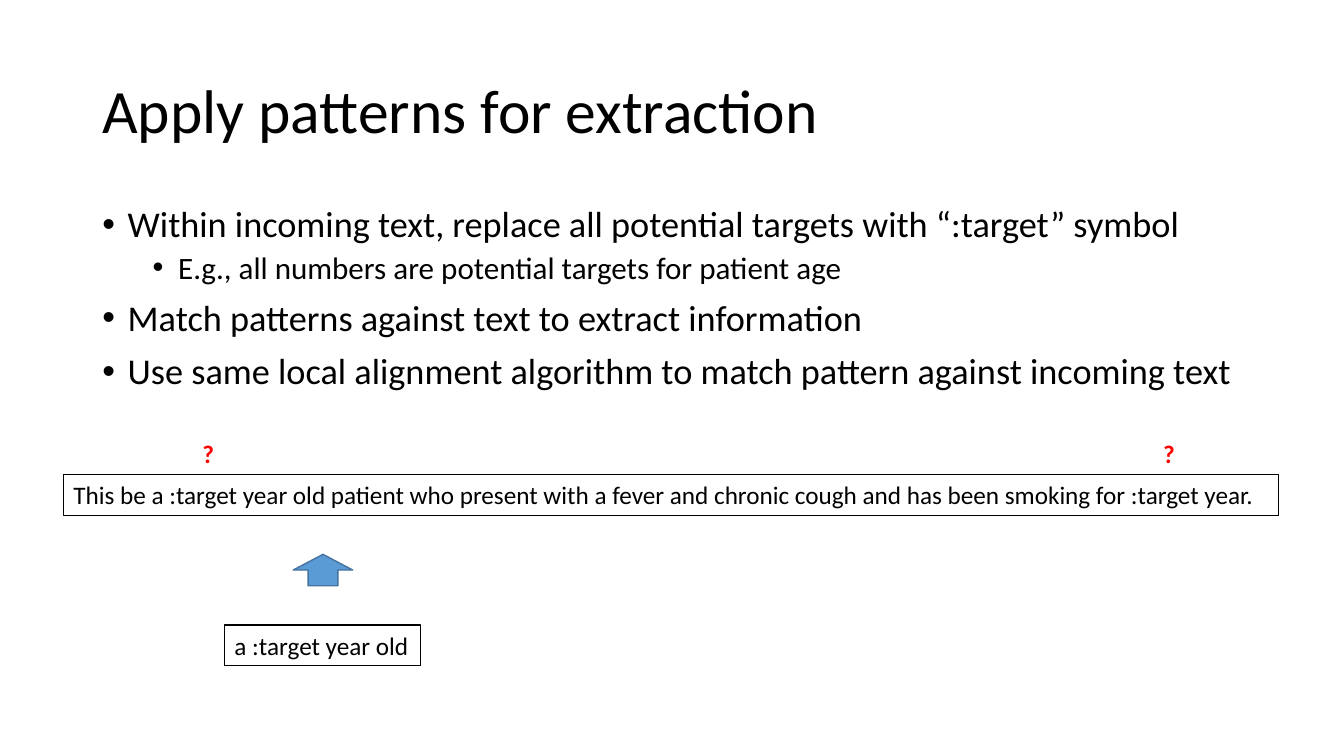
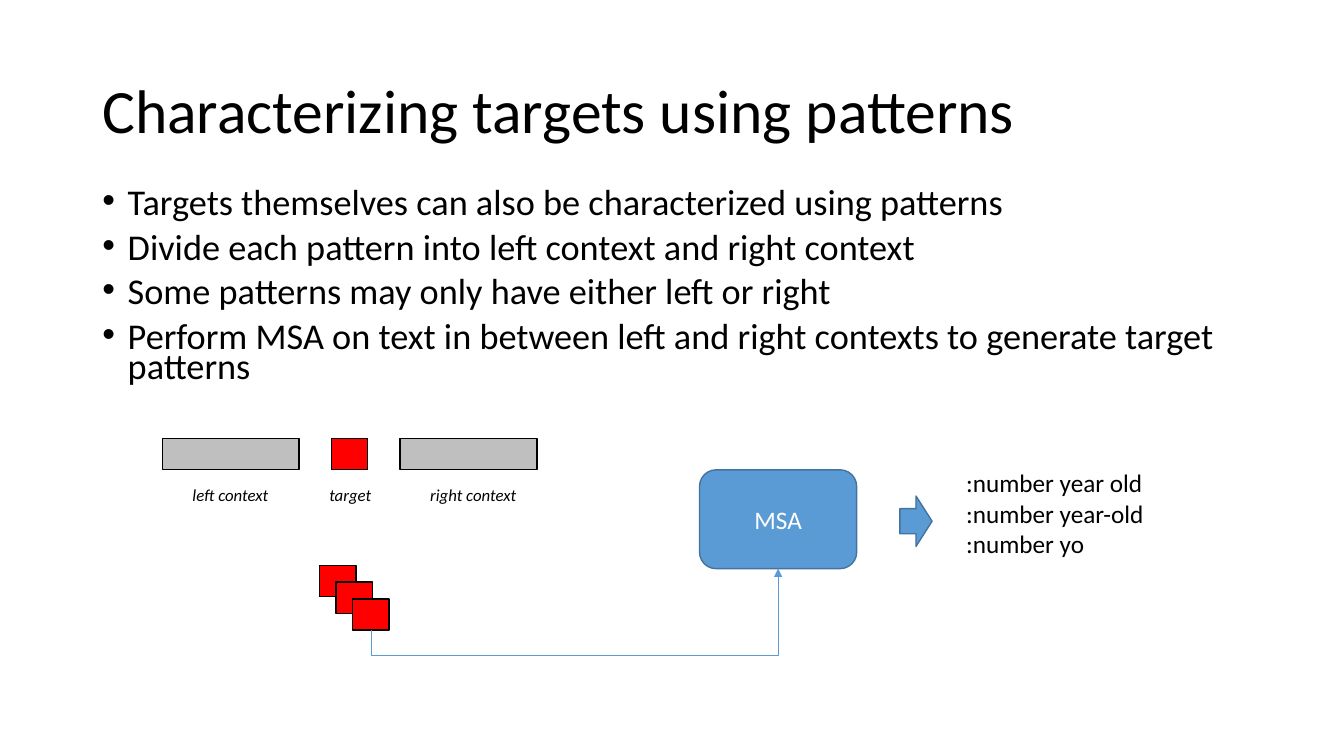
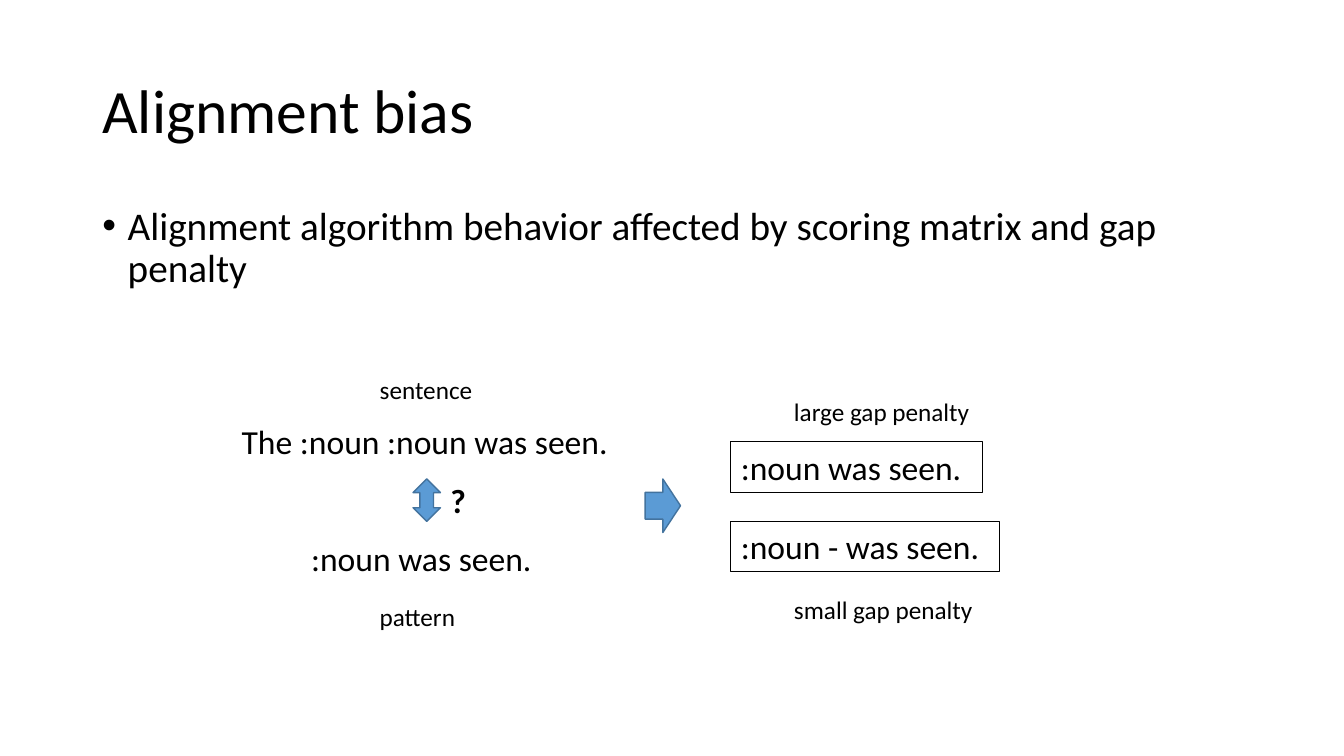
"""Build three slides on pattern extraction and alignment."""
from dataclasses import dataclass

from lxml.etree import SubElement
from pptx import Presentation
from pptx.dml.color import RGBColor as RGB
from pptx.enum.shapes import MSO_CONNECTOR as CXN, MSO_SHAPE as SHAPE
from pptx.enum.text import MSO_ANCHOR as ANCHOR, MSO_AUTO_SIZE as FIT, PP_ALIGN as ALIGN
from pptx.oxml.ns import qn
from pptx.shapes.autoshape import Shape
from pptx.shapes.connector import Connector
from pptx.slide import Slide
from pptx.util import Cm, Pt


@dataclass(frozen=True)
class Theme:
    font: str = "Calibri"
    black: RGB = RGB(0, 0, 0)
    white: RGB = RGB(255, 255, 255)
    red: RGB = RGB(255, 0, 0)
    gray: RGB = RGB(0xBF, 0xBF, 0xBF)
    blue: RGB = RGB(0x5B, 0x9B, 0xD5)
    blue_edge: RGB = RGB(0x43, 0x73, 0x9E)
    title: float = 44
    body: float = 28
    body_fit: float = 25.9
    sub_fit: float = 22.2
    example: float = 24
    label: float = 18
    caption: float = 12


T = Theme()
LINE_HEIGHT = {T.caption: 0.77, T.label: 1.03, T.example: 1.28}
LEFT, WIDTH = 2.33, 29.21


@dataclass(frozen=True)
class Bullet:
    text: str
    size: float
    level: int = 0


@dataclass(frozen=True)
class Label:
    text: str
    x: float
    y: float
    w: float
    size: float = T.label
    color: RGB = T.black
    bold: bool = False
    italic: bool = False
    boxed: bool = False


@dataclass(frozen=True)
class Block:
    kind: SHAPE
    x: float
    y: float
    w: float
    h: float
    fill: RGB = T.blue
    edge: RGB = T.blue_edge


@dataclass(frozen=True)
class Segment:
    caption: str
    caption_x: float
    caption_w: float
    w: float
    fill: RGB


def add_run(p, text: str, size: float, color: RGB = T.black,
            bold: bool = False, italic: bool = False) -> None:
    r = p.add_run()
    r.text = text
    f = r.font
    f.name, f.size, f.bold, f.italic = T.font, Pt(size), bold, italic
    f.color.rgb = color


def add_label(s: Slide, label: Label) -> None:
    lines = label.text.split("\n")
    height = LINE_HEIGHT[label.size] + (len(lines) - 1) * 0.77
    sp = s.shapes.add_textbox(Cm(label.x), Cm(label.y), Cm(label.w), Cm(height))
    tf = sp.text_frame
    tf.word_wrap, tf.auto_size = False, FIT.SHAPE_TO_FIT_TEXT
    for i, line in enumerate(lines):
        p = tf.add_paragraph() if i else tf.paragraphs[0]
        add_run(p, line, label.size, label.color, label.bold, label.italic)
    if label.boxed:
        sp.line.color.rgb, sp.line.width = T.black, Pt(0.75)


def add_block(s: Slide, block: Block) -> Shape:
    sp = s.shapes.add_shape(block.kind, Cm(block.x), Cm(block.y), Cm(block.w), Cm(block.h))
    sp.shadow.inherit = False
    sp.fill.solid()
    sp.fill.fore_color.rgb = block.fill
    sp.line.color.rgb, sp.line.width = block.edge, Pt(1)
    return sp


def add_body(s: Slide, bullets: list[Bullet], y: float, h: float, spacing: float) -> None:
    tf = s.shapes.add_textbox(Cm(LEFT), Cm(y), Cm(WIDTH), Cm(h)).text_frame
    tf.word_wrap = True
    for i, b in enumerate(bullets):
        p = tf.add_paragraph() if i else tf.paragraphs[0]
        p.level, p.line_spacing = b.level, spacing
        p.space_before = Pt(5 if b.level else 10)
        add_run(p, b.text, b.size)
        pPr = p._p.get_or_add_pPr()
        pPr.set("marL", str(Cm(0.64 + 1.27 * b.level)))
        pPr.set("indent", str(-Cm(0.64)))
        SubElement(pPr, qn("a:buFont"), typeface="Arial")
        SubElement(pPr, qn("a:buChar"), char="•")


def add_slide(prs, title: str) -> Slide:
    s = prs.slides.add_slide(prs.slide_layouts[6])
    tf = s.shapes.add_textbox(Cm(LEFT), Cm(1.01), Cm(WIDTH), Cm(3.68)).text_frame
    tf.word_wrap, tf.vertical_anchor = True, ANCHOR.MIDDLE
    p = tf.paragraphs[0]
    p.line_spacing = 0.9
    add_run(p, title, T.title)
    return s


def add_under_arrow(s: Slide, start: Shape, end: Shape, drop: int) -> Connector:
    x1, y1 = start.left + start.width // 2, start.top + start.height
    x2, y2 = end.left + end.width // 2, end.top + end.height
    cxn = s.shapes.add_connector(CXN.ELBOW, x1, y1, x2, y2)
    cxn.begin_connect(start, 2)
    cxn.end_connect(end, 2)
    w, h = y1 - y2, x2 - x1
    cxn.left, cxn.top = (x1 + x2 - w) // 2, (y1 + y2 - h) // 2
    cxn.width, cxn.height = w, h
    spPr = cxn.element.spPr
    xfrm = spPr.find(qn("a:xfrm"))
    for key, value in (("rot", "5400000"), ("flipH", "1"), ("flipV", "1")):
        xfrm.set(key, value)
    adjust = spPr.find(qn("a:prstGeom")).get_or_add_avLst()
    SubElement(adjust, qn("a:gd"), name="adj1", fmla=f"val {-round(100000 * drop / w)}")
    cxn.line.color.rgb, cxn.line.width = T.blue, Pt(0.5)
    SubElement(cxn.line._get_or_add_ln(), qn("a:tailEnd"), type="triangle")
    SubElement(spPr, qn("a:effectLst"))
    return cxn


def build_extraction(prs) -> None:
    s = add_slide(prs, "Apply patterns for extraction")
    add_body(s, [
        Bullet("Within incoming text, replace all potential targets with “:target” symbol", T.body_fit),
        Bullet("E.g., all numbers are potential targets for patient age", T.sub_fit, 1),
        Bullet("Match patterns against text to extract information", T.body_fit),
        Bullet("Use same local alignment algorithm to match pattern against incoming text", T.body_fit),
    ], 5.07, 5.41, 0.9)
    sentence = ("This be a :target year old patient who present with a fever and "
                "chronic cough and has been smoking for :target year.")
    add_label(s, Label(sentence, 1.6, 11.96, 30.63, boxed=True))
    add_label(s, Label("a :target year old", 5.66, 15.75, 4.95, boxed=True))
    for x in (4.85, 29.06):
        add_label(s, Label("?", x, 10.92, 0.81, color=T.red, bold=True))
    add_block(s, Block(SHAPE.UP_ARROW, 7.39, 13.97, 1.5, 0.79))


def build_targets(prs) -> None:
    s = add_slide(prs, "Characterizing targets using patterns")
    add_body(s, [Bullet(text, T.body_fit) for text in (
        "Targets themselves can also be characterized using patterns",
        "Divide each pattern into left context and right context",
        "Some patterns may only have either left or right",
        "Perform MSA on text in between left and right contexts to generate target patterns",
    )], 4.7, 5.66, 0.7)

    bar_h, target_w, gap, x = 0.79, 0.92, 0.81, 4.09
    for seg in (
        Segment("left context", 4.6, 2.46, 3.45, T.gray),
        Segment("target", 8.05, 1.57, target_w, T.red),
        Segment("right context", 10.59, 2.69, 3.45, T.gray),
    ):
        add_block(s, Block(SHAPE.RECTANGLE, x, 11.05, seg.w, bar_h, seg.fill, T.black))
        add_label(s, Label(seg.caption, seg.caption_x, 12.09, seg.caption_w,
                           T.caption, italic=True))
        x += seg.w + gap

    msa = add_block(s, Block(SHAPE.ROUNDED_RECTANGLE, 17.63, 11.84, 3.96, 2.49))
    msa.text_frame.vertical_anchor = ANCHOR.MIDDLE
    p = msa.text_frame.paragraphs[0]
    p.alignment = ALIGN.CENTER
    add_run(p, "MSA", T.label, T.white)

    stack = [add_block(s, Block(SHAPE.RECTANGLE, 8.05 + 0.42 * i, 14.25 + 0.42 * i,
                                target_w, bar_h, T.red, T.black)) for i in range(3)]
    add_under_arrow(s, stack[-1], msa, Cm(0.63))
    add_label(s, Label(":number year old\n:number year-old\n:number yo", 24.1, 11.66, 5.03))
    add_block(s, Block(SHAPE.RIGHT_ARROW, 22.68, 12.5, 0.81, 1.27))


def build_bias(prs) -> None:
    s = add_slide(prs, "Alignment bias")
    add_body(s, [Bullet("Alignment algorithm behavior affected by scoring matrix and gap penalty",
                        T.body)], 5.07, 4.78, 0.9)
    for label in (
        Label("The :noun :noun was seen.", 5.84, 10.49, 9.83, T.example),
        Label(":noun was seen.", 7.59, 13.44, 6.35, T.example),
        Label("?", 11.1, 11.96, 0.91, T.example, bold=True),
        Label(":noun was seen.", 18.42, 11.13, 6.35, T.example, boxed=True),
        Label(":noun - was seen.", 18.42, 13.13, 6.76, T.example, boxed=True),
        Label("large gap penalty", 19.76, 9.86, 4.98),
        Label("small gap penalty", 19.76, 14.86, 5.05),
        Label("sentence", 9.32, 9.32, 2.87),
        Label("pattern", 9.32, 15.04, 2.44),
    ):
        add_label(s, label)
    add_block(s, Block(SHAPE.UP_DOWN_ARROW, 10.41, 12.07, 0.69, 1.07))
    add_block(s, Block(SHAPE.RIGHT_ARROW, 16.26, 12.07, 0.89, 1.35))


def main() -> None:
    prs = Presentation()
    prs.slide_width, prs.slide_height = Cm(33.87), Cm(19.05)
    for build in (build_extraction, build_targets, build_bias):
        build(prs)
    prs.save("out.pptx")


if __name__ == "__main__":
    main()
